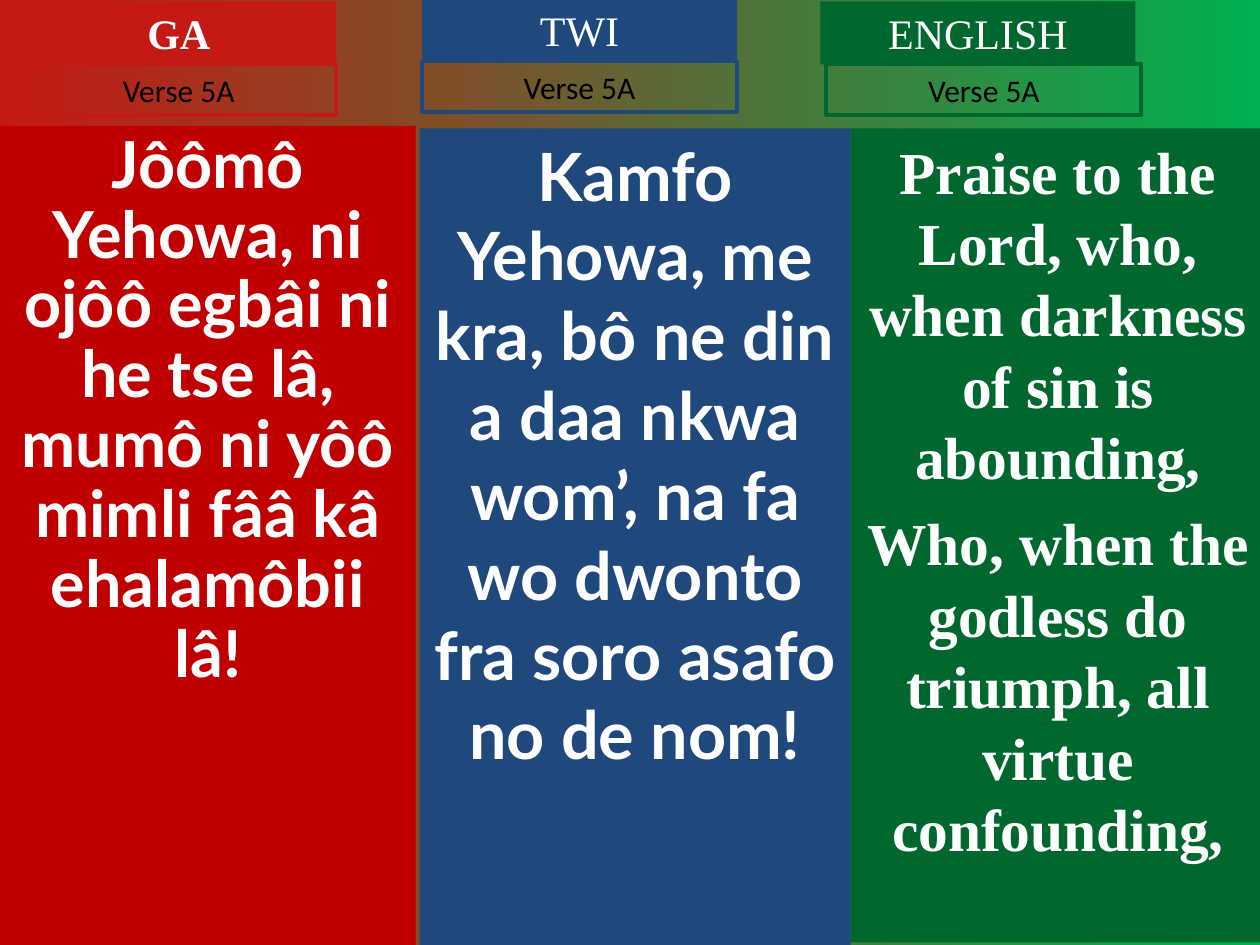
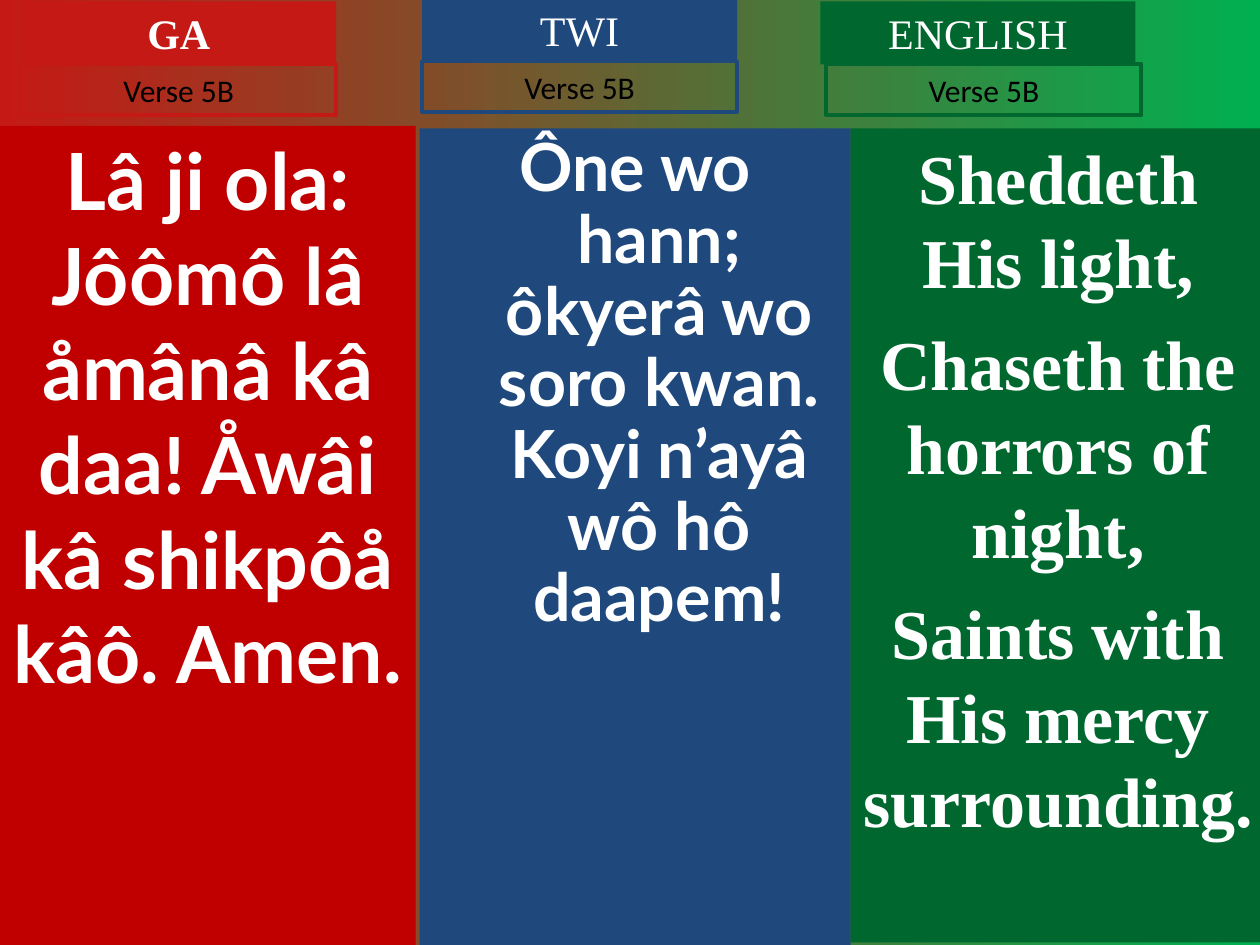
from pptx import Presentation
from pptx import util as u
from pptx.dml import color as c
from pptx.enum import shapes, text

SERIF = "Times New Roman"
WHITE = "FFFFFF"
TOP, HEAD_W, HEAD_H, TAG_H = 0.03, 6.35, 1.27, 1.02

# name, bold name, head colour, head left, head top, tag left, panel colour, panel box
TONGUES = [
    ("GA", True, "C51915", 0.43, TOP, 0.43, "C00000", (0, 2.54, 8.38, 16.51)),
    ("TWI", False, "1F497D", 8.51, -TOP, 8.51, "1F497D", (8.46, 2.59, 8.69, 16.46)),
    ("ENGLISH", False, "00682F", 16.54, TOP, 16.66, "00682F", (17.15, 2.59, 8.36, 16.41)),
]

VERSES = [
    ("Verse 5A", [
        (["Jôômô Yehowa, ni ojôô egbâi ni he tse lâ, mumô ni yôô mimli fââ kâ ehalamôbii lâ!"],
         dict(size=37, font="Lato", pitch=0.9)),
        (["Kamfo Yehowa, me kra, bô ne din a daa nkwa wom’, na fa wo dwonto fra soro asafo no de nom!"],
         dict(size=38, font="Lato")),
        (["Praise to the Lord, who, when darkness of sin is abounding,",
          "Who, when the godless do triumph, all virtue confounding,"],
         dict(size=34, font=SERIF, gap=8.5)),
    ]),
    ("Verse 5B", [
        (["Lâ ji ola: Jôômô lâ åmânâ kâ daa! Åwâi kâ shikpôå kâô. Amen."],
         dict(size=45, font="Lato")),
        (["Ône wo hann; ôkyerâ wo soro kwan. Koyi n’ayâ wô hô daapem!"],
         dict(size=37.9, font="Lato", pitch=0.9, hang=0.97)),
        (["Sheddeth His light,", "Chaseth the horrors of night,",
          "Saints with His mercy surrounding."],
         dict(size=40, font=SERIF, gap=10)),
    ]),
]


def tint(code):
    """Turn a hex string into a colour."""
    return c.RGBColor.from_string(code)


def box(slide, left, top, width, height, fill=None, line=None):
    """Draw a plain rectangle, filled or outlined."""
    shape = slide.shapes.add_shape(shapes.MSO_SHAPE.RECTANGLE,
                                   *map(u.Cm, (left, top, width, height)))
    shape.shadow.inherit = False
    if fill:
        shape.fill.solid()
        shape.fill.fore_color.rgb = tint(fill)
    else:
        shape.fill.background()
    if line:
        shape.line.color.rgb = tint(line)
        shape.line.width = u.Pt(2.25)
    else:
        shape.line.fill.background()
    return shape


def write(shape, lines, size, font, color=WHITE, bold=False, gap=0,
          pitch=None, hang=0, grow=False):
    """Set centred paragraphs at the top of a shape."""
    frame = shape.text_frame
    frame.word_wrap = True
    frame.vertical_anchor = text.MSO_ANCHOR.TOP
    if grow:
        frame.auto_size = text.MSO_AUTO_SIZE.SHAPE_TO_FIT_TEXT
    for i, line in enumerate(lines):
        para = frame.add_paragraph() if i else frame.paragraphs[0]
        para.alignment = text.PP_ALIGN.CENTER
        if i:
            para.space_before = u.Pt(gap)
        if pitch:
            para.line_spacing = pitch
        if hang:
            props = para._p.get_or_add_pPr()
            props.set("marL", str(u.Cm(hang)))
            props.set("indent", str(-u.Cm(hang)))
        run = para.add_run()
        run.text = line
        run.font.size = u.Pt(size)
        run.font.name = font
        run.font.bold = bold
        run.font.color.rgb = tint(color)


def wash(slide, start, end):
    """Shade the background from left to right."""
    fill = slide.background.fill
    fill.gradient()
    fill.gradient_angle = 0
    for stop, code, place in zip(fill.gradient_stops, (start, end), (0, 1)):
        stop.color.rgb = tint(code)
        stop.position = place


def column(slide, tongue, verse, lines, style):
    """Build one language: verse panel, name and verse tag."""
    name, bold, hue, left, top, tag, ground, area = tongue
    write(box(slide, *area, fill=ground), lines, bold=True, **style)
    write(box(slide, left, top, HEAD_W, HEAD_H, fill=hue), [name],
          size=24, font=SERIF, bold=bold, grow=True)
    write(box(slide, tag, top + HEAD_H, HEAD_W, TAG_H, line=hue), [verse],
          size=18, font="Calibri", color="000000", grow=True)


def main():
    """Build and save the hymn slides."""
    deck = Presentation()
    deck.slide_width, deck.slide_height = u.Cm(25.4), u.Cm(19.05)
    for verse, parts in VERSES:
        slide = deck.slides.add_slide(deck.slide_layouts[6])
        wash(slide, "C51915", "00B050")
        for tongue, (lines, style) in zip(TONGUES, parts):
            column(slide, tongue, verse, lines, style)
    deck.save("out.pptx")


if __name__ == "__main__":
    main()
